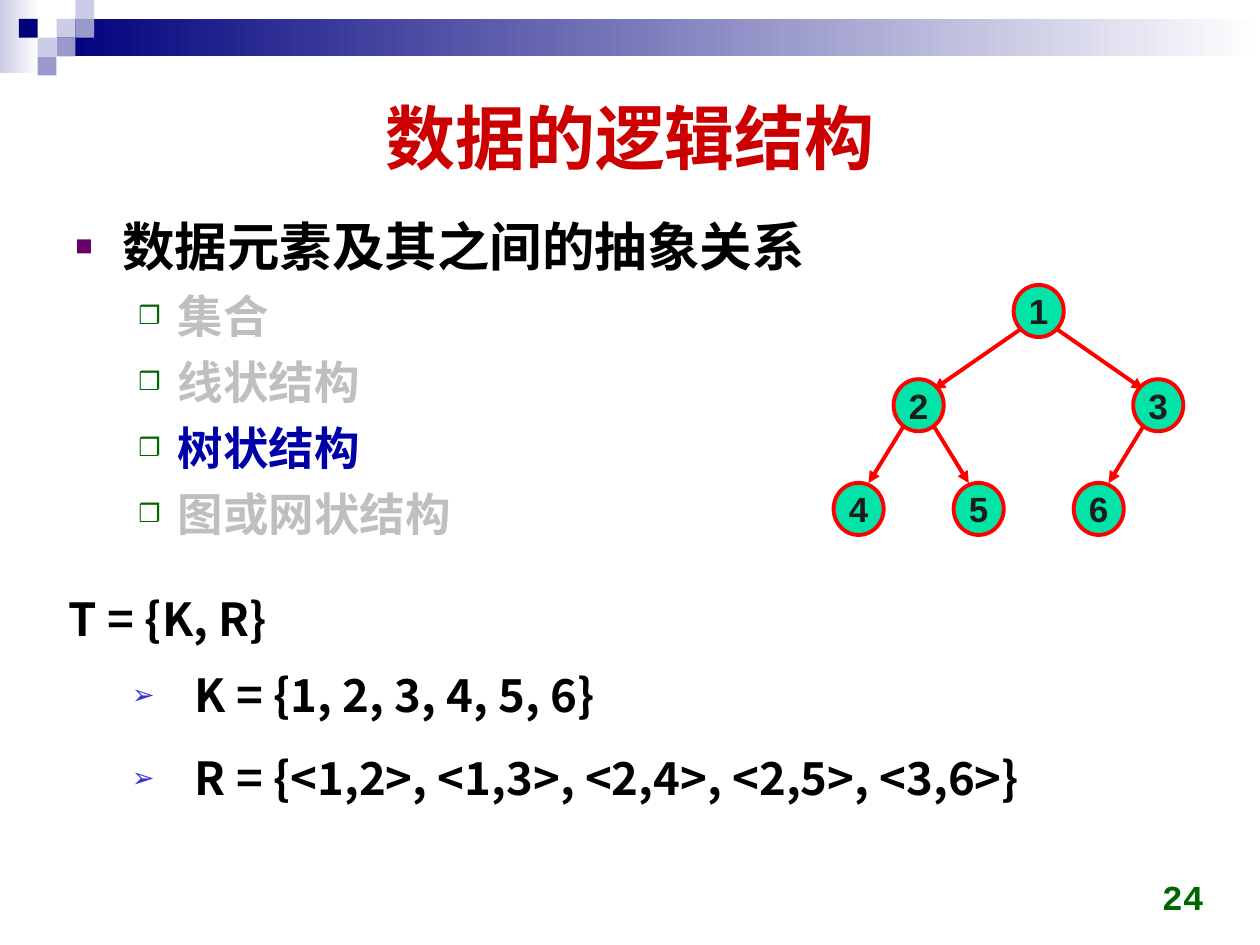
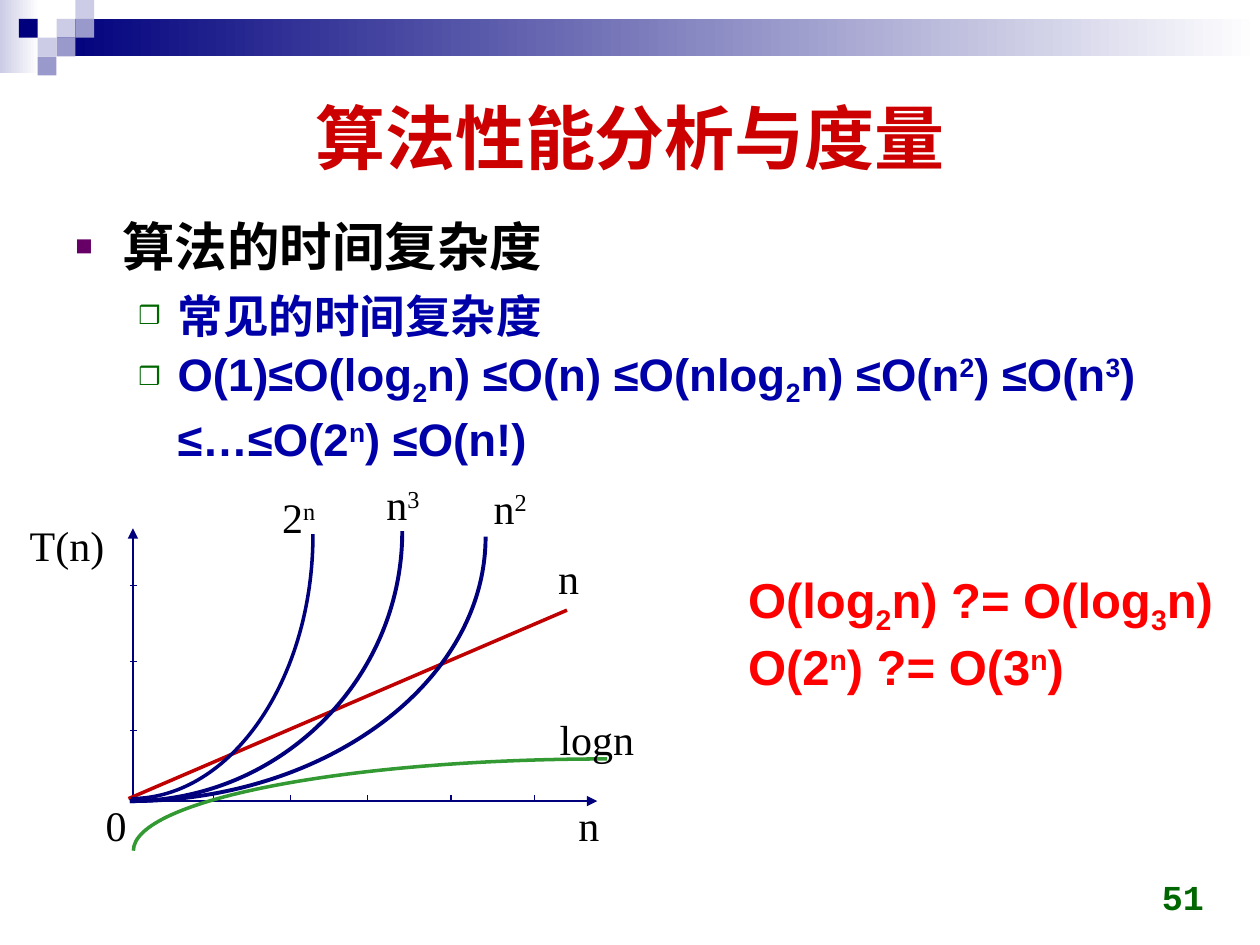
from dataclasses import dataclass, replace

from lxml.etree import SubElement
from pptx import Presentation
from pptx.dml.color import RGBColor as RGB
from pptx.enum.shapes import MSO_CONNECTOR as Connector, MSO_SHAPE as Shape
from pptx.enum.text import MSO_ANCHOR as Anchor, PP_ALIGN as Align
from pptx.oxml.ns import qn
from pptx.util import Cm, Pt


@dataclass(frozen=True)
class Style:
    size: float
    color: str
    font: str = "Arial"
    bold: bool = True
    align: Align = Align.LEFT
    spacing: float = 1.0
    before: float = 0
    left: float = 0
    hanging: float = 0
    bullet: str = ""
    bullet_color: str = ""
    bullet_percent: int = 55


@dataclass(frozen=True)
class Theme:
    navy: str = "00007D"
    lilac: str = "CCCCE6"
    violet: str = "9999CC"
    white: str = "FFFFFF"
    red: str = "FF0000"
    crimson: str = "C00000"
    green: str = "339933"
    mint: str = "00E4A8"
    faded: str = "BFBFBF"
    title: Style = Style(40, "CC0000", align=Align.CENTER)
    topic: Style = Style(30, "000000", spacing=1.05, before=5.6, left=0.95, hanging=0.95,
                         bullet="■", bullet_color="660066")
    detail: Style = Style(26, "0000A8", spacing=1.05, before=4.9, left=2.06, hanging=0.79,
                          bullet="❒", bullet_color="006600")
    definition: Style = Style(26, "000000", "Noto Sans CJK SC")
    member: Style = Style(26, "000000", "Noto Sans CJK SC", before=16.2, left=1.27,
                          hanging=1.27, bullet="➢", bullet_color="3333CC", bullet_percent=60)
    node: Style = Style(20, "1C1C1C", align=Align.CENTER)
    axis: Style = Style(24, "000000", "Times New Roman", bold=False)
    question: Style = Style(28, "FF0000")
    number: Style = Style(20, "006600", "Courier New", align=Align.RIGHT)


theme = Theme()


def write_lines(frame, lines, anchor=Anchor.TOP):
    frame.word_wrap = True
    frame.vertical_anchor = anchor
    for index, (text, style) in enumerate(lines):
        paragraph = frame.add_paragraph() if index else frame.paragraphs[0]
        paragraph.alignment = style.align
        paragraph.line_spacing = style.spacing
        paragraph.space_before = Pt(style.before)
        if style.bullet:
            properties = paragraph._p.get_or_add_pPr()
            properties.set("marL", str(Cm(style.left)))
            properties.set("indent", str(-Cm(style.hanging)))
            bullet_color = SubElement(properties, qn("a:buClr"))
            SubElement(bullet_color, qn("a:srgbClr"), val=style.bullet_color)
            SubElement(properties, qn("a:buSzPct"), val=str(style.bullet_percent * 1000))
            SubElement(properties, qn("a:buFont"), typeface="Arial")
            SubElement(properties, qn("a:buChar"), char=style.bullet)
        for part in text.split("|"):
            run = paragraph.add_run()
            run.text = part.lstrip("_^")
            run.font.name = style.font
            run.font.size = Pt(style.size)
            run.font.bold = style.bold
            run.font.color.rgb = RGB.from_string(style.color)
            baseline = {"_": "-25000", "^": "30000"}.get(part[:1])
            if baseline:
                run._r.get_or_add_rPr().set("baseline", baseline)


def add_line(slide, start, end, color, width, arrow=False):
    line = slide.shapes.add_connector(Connector.STRAIGHT, *map(Cm, (*start, *end)))
    line.line.color.rgb = RGB.from_string(color)
    line.line.width = Pt(width)
    properties = line.element.spPr
    if arrow:
        SubElement(properties.find(qn("a:ln")), qn("a:tailEnd"), type="triangle")
    SubElement(properties, qn("a:effectLst"))


presentation = Presentation()
presentation.slide_width = Cm(25.4)
presentation.slide_height = Cm(19.05)
title_only = presentation.slide_layouts[5]

pages = [
    ("数据的逻辑结构", "24", 7.09, [
        ("数据元素及其之间的抽象关系", theme.topic),
        ("集合", replace(theme.detail, color=theme.faded)),
        ("线状结构", replace(theme.detail, color=theme.faded)),
        ("树状结构", theme.detail),
        ("图或网状结构", replace(theme.detail, color=theme.faded)),
    ]),
    ("算法性能分析与度量", "51", 13.21, [
        ("算法的时间复杂度", theme.topic),
        ("常见的时间复杂度", theme.detail),
        ("Ο(1)≤Ο(log|_2|n) ≤Ο(n) ≤Ο(nlog|_2|n) ≤Ο(n|^2|) ≤Ο(n|^3|) ≤…≤Ο(2|^n|) ≤Ο(n!)",
         replace(theme.detail, before=0)),
    ]),
]
slides = []
for title_text, number, body_height, body in pages:
    slide = presentation.slides.add_slide(title_only)
    slides.append(slide)
    title = slide.shapes.title
    title.left, title.top, title.width, title.height = map(Cm, (1.27, 1.27, 22.86, 2.95))
    write_lines(title.text_frame, [(title_text, theme.title)], Anchor.MIDDLE)
    body_box = slide.shapes.add_textbox(*map(Cm, (1.27, 4.13, 22.86, body_height)))
    write_lines(body_box.text_frame, body)
    number_box = slide.shapes.add_textbox(*map(Cm, (18.6, 17.35, 5.92, 1.27)))
    write_lines(number_box.text_frame, [(number, theme.number)], Anchor.BOTTOM)

tree_slide, growth_slide = slides

band = tree_slide.shapes.add_group_shape()
for box, color in [((0, 0, 0.79, 1.47), theme.lilac), ((1.14, 0.38, 24.26, 0.76), theme.navy)]:
    bar = band.shapes.add_shape(Shape.RECTANGLE, *map(Cm, box))
    bar.shadow.inherit = False
    bar.line.fill.background()
    bar.fill.gradient()
    bar.fill.gradient_angle = 0
    for stop, stop_color in zip(bar.fill.gradient_stops, (color, theme.white)):
        stop.color.rgb = RGB.from_string(stop_color)
tile_size = 0.38
for column, row, color in [
    (3, 1, theme.lilac), (4, 0, theme.lilac), (4, 1, theme.violet), (2, 2, theme.lilac),
    (1, 1, theme.navy), (3, 2, theme.violet), (2, 3, theme.violet),
]:
    tile = band.shapes.add_shape(Shape.RECTANGLE, Cm(column * tile_size), Cm(row * tile_size),
                                 Cm(tile_size), Cm(tile_size))
    tile.shadow.inherit = False
    tile.line.fill.background()
    tile.fill.solid()
    tile.fill.fore_color.rgb = RGB.from_string(color)
title_only.slide_master.shapes.element.insert(2, band.element)

node_centres = {
    "1": (20.94, 6.27), "2": (18.52, 8.17), "3": (23.35, 8.17),
    "4": (17.31, 10.26), "5": (19.73, 10.26), "6": (22.15, 10.26),
}
for parent, child in ["12", "13", "24", "25", "36"]:
    parent_x, parent_y = node_centres[parent]
    child_x, child_y = node_centres[child]
    side = 1 if child_x > parent_x else -1
    out_x, out_y, in_x, in_y = (0.3, 0.32, 0.3, 0.32) if parent == "1" else (0.1, 0.09, 0.2, 0.52)
    add_line(tree_slide, (parent_x + side * out_x, parent_y + out_y),
             (child_x - side * in_x, child_y - in_y), theme.red, 2.25, arrow=True)
node_width, node_height = 1.01, 1.05
for label, (x, y) in node_centres.items():
    node = tree_slide.shapes.add_shape(
        Shape.OVAL, Cm(x - node_width / 2), Cm(y - node_height / 2), Cm(node_width), Cm(node_height))
    node.shadow.inherit = False
    node.fill.solid()
    node.fill.fore_color.rgb = RGB.from_string(theme.mint)
    node.line.color.rgb = RGB.from_string(theme.red)
    node.line.width = Pt(2.25)
    frame = node.text_frame
    frame.margin_left = frame.margin_right = frame.margin_top = frame.margin_bottom = 0
    write_lines(frame, [(label, theme.node)], Anchor.MIDDLE)

set_box = tree_slide.shapes.add_textbox(*map(Cm, (1.14, 11.79, 7.95, 1.37)))
write_lines(set_box.text_frame, [("T = {K, R}", theme.definition)])
member_box = tree_slide.shapes.add_textbox(*map(Cm, (2.41, 13.33, 21.16, 4.14)))
write_lines(member_box.text_frame, [
    ("K = {1, 2, 3, 4, 5, 6}", theme.member),
    ("R = {<1,2>, <1,3>, <2,4>, <2,5>, <3,6>}", theme.member),
])

add_line(growth_slide, (2.68, 16.18), (2.68, 10.65), theme.navy, 0.75, arrow=True)
add_line(growth_slide, (2.62, 16.15), (12.04, 16.15), theme.navy, 0.75, arrow=True)
for tick_y in (14.73, 13.33, 11.8):
    add_line(growth_slide, (2.62, tick_y), (2.77, tick_y), theme.navy, 0.75)
for tick_x in (4.31, 5.86, 7.41, 9.09, 10.77):
    add_line(growth_slide, (tick_x, 16.03), (tick_x, 16.15), theme.navy, 0.75)
add_line(growth_slide, (2.59, 16.1), (11.43, 12.3), theme.crimson, 2)

quarter_arc = 0.55
for x, y, width, height, color, weight in [
    (2.62, 16.15, 5.49, 5.44, theme.navy, 2.25),
    (12.24, 15.3, -9.55, -1.85, theme.green, 2),
    (2.62, 16.15, 7.17, 5.33, theme.navy, 2.25),
    (2.64, 16.1, 3.67, 5.33, theme.navy, 2),
]:
    builder = growth_slide.shapes.build_freeform(Cm(x), Cm(y))
    builder.add_line_segments([
        (Cm(x + width * quarter_arc), Cm(y)),
        (Cm(x + width), Cm(y - height * (1 - quarter_arc))),
        (Cm(x + width), Cm(y - height)),
    ], close=False)
    curve = builder.convert_to_shape()
    segments = list(curve.element.iter(qn("a:lnTo")))
    bezier = SubElement(segments[0].getparent(), qn("a:cubicBezTo"))
    for segment in segments:
        bezier.append(segment[0])
        segment.getparent().remove(segment)
    curve.shadow.inherit = False
    curve.fill.background()
    curve.line.color.rgb = RGB.from_string(color)
    curve.line.width = Pt(weight)

for text, x, y, width in [
    ("T(n)", 0.35, 10.34, 2.1), ("n", 11.41, 15.99, 1.04), ("0", 1.88, 15.99, 1.0),
    ("2|^n", 5.44, 9.78, 1.3), ("n|^3", 7.54, 9.53, 1.3), ("n", 11.0, 11.01, 1.45),
    ("n|^2", 9.7, 9.6, 1.3), ("logn", 11.03, 14.25, 2.1),
]:
    label_box = growth_slide.shapes.add_textbox(*map(Cm, (x, y, width, 1.27)))
    write_lines(label_box.text_frame, [(text, theme.axis)])

question_box = growth_slide.shapes.add_textbox(*map(Cm, (14.83, 11.35, 10.41, 2.79)))
write_lines(question_box.text_frame, [
    ("O(log|_2|n) ?= O(log|_3|n)", theme.question),
    ("O(2|^n|) ?= O(3|^n|)", theme.question),
])

presentation.save("out.pptx")
